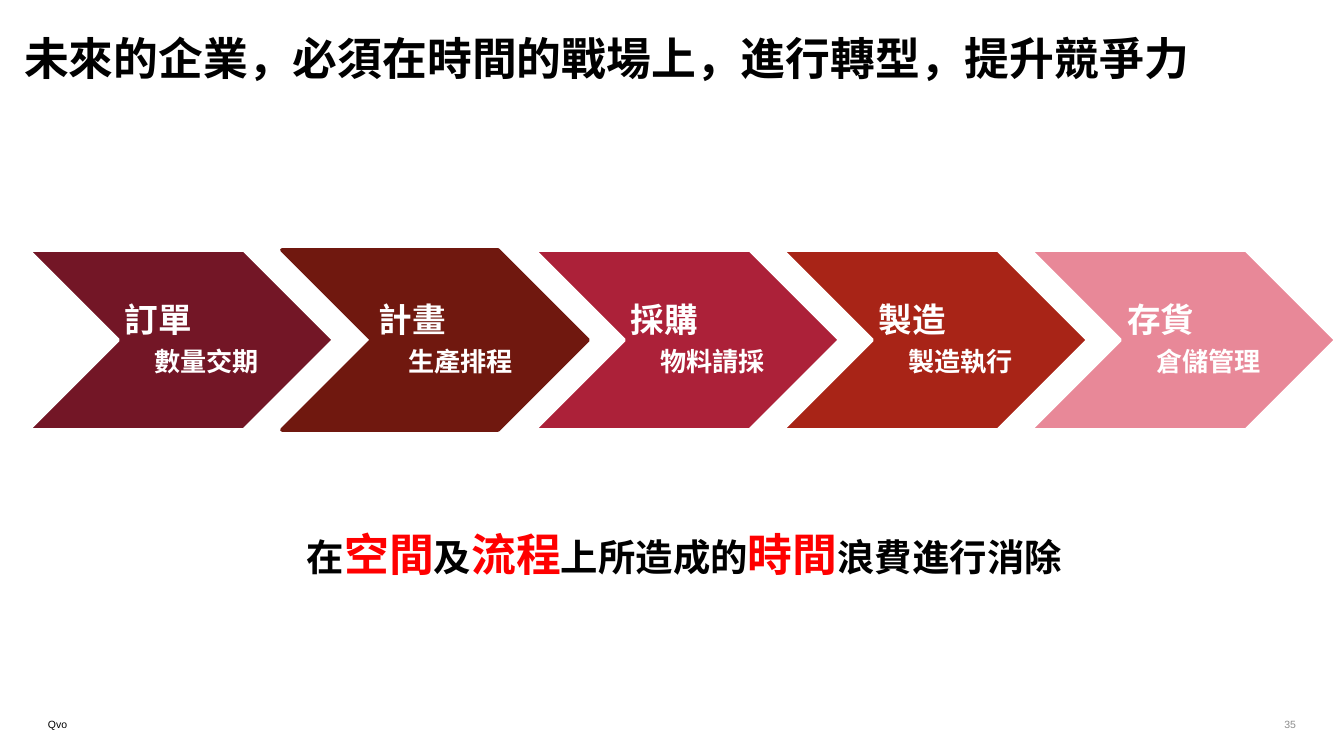
import pptx
import pptx.dml.color
import pptx.enum.text
import pptx.oxml.ns
import pptx.util
from lxml import etree

PX = 914400 / 134.4
ALIGN = pptx.enum.text.PP_ALIGN
ANCHOR = pptx.enum.text.MSO_ANCHOR
SANS_SC = "Noto Sans CJK SC"
SANS_TC = "Noto Sans CJK TC"


def px(length):
    return pptx.util.Emu(round(length * PX))


def color(value):
    return pptx.dml.color.RGBColor.from_string(value)


class SlideBuilder:
    def __init__(self, presentation):
        self.slide = presentation.slides.add_slide(presentation.slide_layouts[5])

    def add_run(self, paragraph, text, size, fill, font=SANS_SC, bold=True):
        run = paragraph.add_run()
        run.text = text
        run.font.size = pptx.util.Pt(size)
        run.font.bold = bold
        run.font.name = font
        run.font.color.rgb = color(fill)
        east_asian = etree.SubElement(run.font._element, pptx.oxml.ns.qn("a:ea"))
        east_asian.set("typeface", font)

    def set_frame(self, frame, insets, anchor, wrap=True):
        frame.margin_left, frame.margin_top, frame.margin_right, frame.margin_bottom = map(px, insets)
        frame.vertical_anchor = anchor
        frame.word_wrap = wrap

    def title(self, text, left, top, width, height):
        shape = self.slide.shapes.title
        shape.left, shape.top, shape.width, shape.height = map(px, (left, top, width, height))
        self.set_frame(shape.text_frame, (13, 7, 13, 7), ANCHOR.TOP, wrap=False)
        paragraph = shape.text_frame.paragraphs[0]
        paragraph.alignment = ALIGN.LEFT
        self.add_run(paragraph, text, 24, "000000")

    def text_box(self, left, top, width, height, runs, insets=(13, 7, 13, 7),
                 anchor=ANCHOR.TOP, align=ALIGN.LEFT, font=SANS_TC, bold=True):
        shape = self.slide.shapes.add_textbox(px(left), px(top), px(width), px(height))
        self.set_frame(shape.text_frame, insets, anchor)
        paragraph = shape.text_frame.paragraphs[0]
        paragraph.alignment = align
        for text, size, fill in runs:
            self.add_run(paragraph, text, size, fill, font, bold)

    def footer(self, left, width, text, fill, align):
        self.text_box(left, 716, width, 15, [(text, 5.6, fill)], (0, 0, 0, 0),
                      ANCHOR.BOTTOM, align, "Arial", False)

    def chevron(self, left, top, width, height, fill, line, heading, detail):
        right, bottom, point = left + width, top + height, height // 2
        builder = self.slide.shapes.build_freeform(left, top, scale=PX)
        builder.add_line_segments([
            (right - point, top), (right, top + point), (right - point, bottom),
            (left, bottom), (left + point, top + point)])
        shape = builder.convert_to_shape()
        shape.shadow.inherit = False
        shape.fill.solid()
        shape.fill.fore_color.rgb = color(fill)
        shape.line.color.rgb = color(line)
        shape.line.width = pptx.util.Pt(2)
        frame = shape.text_frame
        self.set_frame(frame, (82, 3, 75, 3), ANCHOR.MIDDLE)
        rows = [(frame.paragraphs[0], heading, 18, ALIGN.LEFT),
                (frame.add_paragraph(), detail, 14, ALIGN.RIGHT)]
        for paragraph, text, size, align in rows:
            paragraph.alignment = align
            paragraph.line_spacing = 0.9
            paragraph.space_after = pptx.util.Pt(5)
            self.add_run(paragraph, text, size, "FFFFFF")
        frame.paragraphs[0]._p.get_or_add_pPr().set("marL", str(px(15)))


def main():
    presentation = pptx.Presentation()
    presentation.slide_width, presentation.slide_height = px(1344), px(756)
    builder = SlideBuilder(presentation)

    builder.footer(48, 603, "Qvo", "000000", ALIGN.LEFT)
    builder.footer(906, 390, "35", "8C8C8C", ALIGN.RIGHT)

    stages = [
        (28, "731626", "FFFFFF", "訂單", "數量交期"),
        (282, "70180F", "70180F", "計畫", "生產排程"),
        (534, "AC2139", "FFFFFF", "採購", "物料請採"),
        (782, "A82417", "FFFFFF", "製造", "製造執行"),
        (1030, "E88898", "FFFFFF", "存貨", "倉儲管理"),
    ]
    for left, fill, line, heading, detail in stages:
        builder.chevron(left, 250, 306, 180, fill, line, heading, detail)

    builder.title("未來的企業，必須在時間的戰場上，進行轉型，提升競爭力", 11, 24, 1203, 67)

    phrases = ["在", "空間", "及", "流程", "上所造成的", "時間", "浪費進行消除"]
    styles = [(20, "000000"), (24, "FF0000")]
    runs = [(text, *styles[index % 2]) for index, text in enumerate(phrases)]
    builder.text_box(294, 520, 786, 67, runs)

    presentation.save("out.pptx")


if __name__ == "__main__":
    main()
